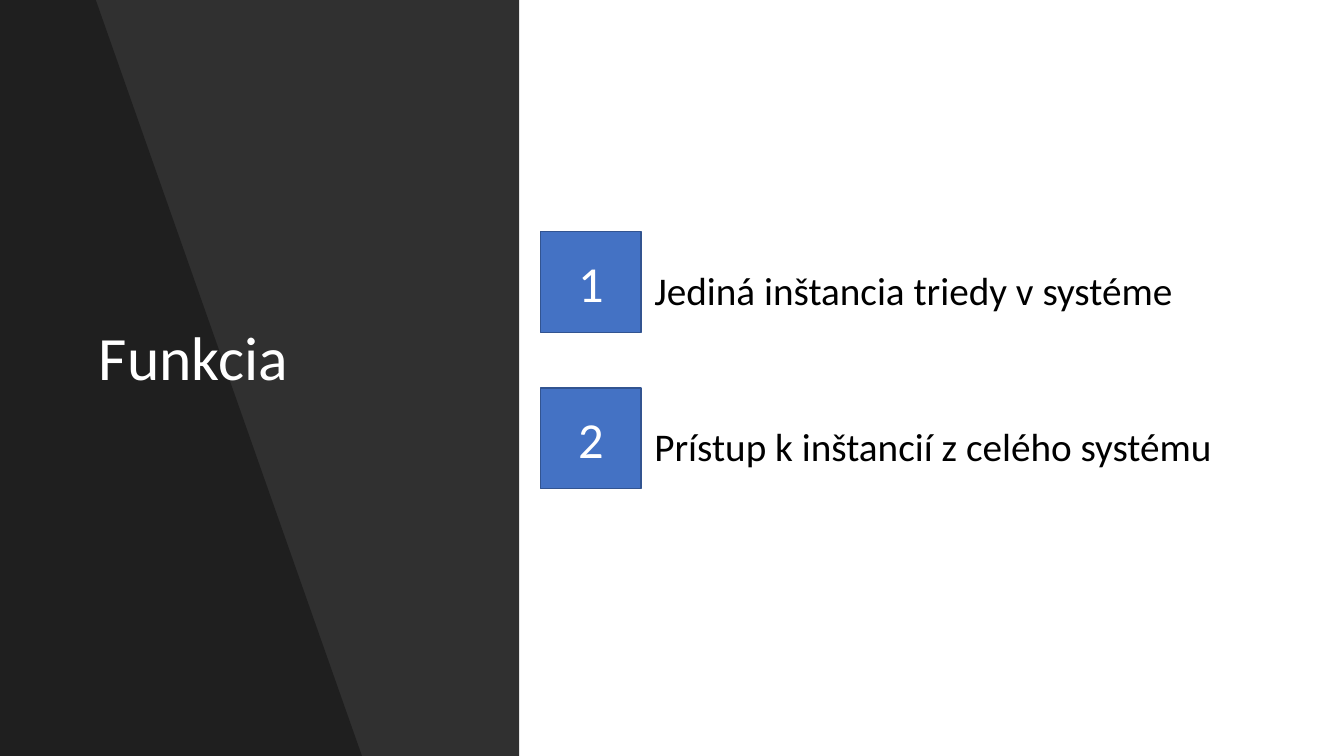
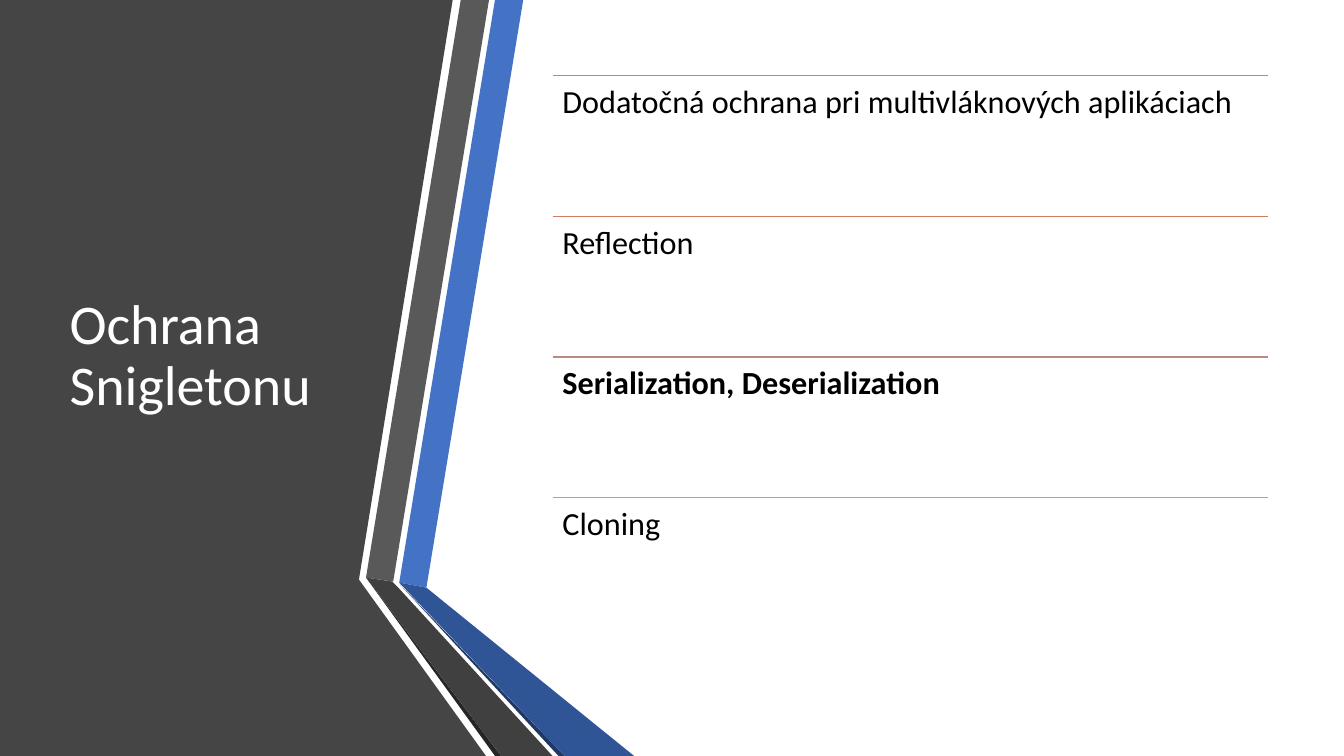
"""Build two slides on the function and the protection of the Singleton pattern."""
from lxml import etree
from pptx import Presentation
from pptx.dml.color import RGBColor
from pptx.enum.shapes import MSO_CONNECTOR, MSO_SHAPE
from pptx.enum.text import MSO_ANCHOR, MSO_AUTO_SIZE, PP_ALIGN
from pptx.oxml.ns import qn
from pptx.util import Inches, Pt

RECTANGLE = MSO_SHAPE.RECTANGLE
STRAIGHT = MSO_CONNECTOR.STRAIGHT
TOP, MIDDLE = MSO_ANCHOR.TOP, MSO_ANCHOR.MIDDLE
LEFT, CENTER = PP_ALIGN.LEFT, PP_ALIGN.CENTER
NO_FIT = MSO_AUTO_SIZE.NONE

FONT = "Calibri"
WIDTH, HEIGHT = 13.33, 7.5
TITLE_AND_BODY, TITLE_ONLY = 1, 5
COLORS = {
    "black": "000000", "white": "FFFFFF", "blue": "4472C4", "blue edge": "325491",
    "deep blue": "2F5597", "navy": "203864", "panel": "454545", "gray": "595959",
    "dark gray": "404040", "charcoal": "262626", "orange": "ED7D31",
    "copper": "D17B5C", "rose": "B98A82", "silver": "A5A5A5",
}

FUNCTION_TITLE = "Funkcia"
FUNCTIONS = ["Jediná inštancia triedy v systéme", "Prístup k inštancií z celého systému"]
FUNCTION_WEDGE = [(0, 0), (0.95, 0), (3.59, HEIGHT), (0, HEIGHT)]
BADGE_LEFT, BADGE_TOP, BADGE_SIZE, BADGE_PITCH = 5.36, 2.3, 1, 1.55

PROTECTION_TITLE = "Ochrana Snigletonu"
PROTECTIONS = [
    ("Dodatočná ochrana pri multivláknových aplikáciach", "orange", False),
    ("Reflection", "copper", False),
    ("Serialization, Deserialization", "rose", True),
    ("Cloning", "silver", False),
]
ROWS_LEFT, ROWS_TOP, ROWS_WIDTH, ROWS_HEIGHT = 5.48, 0.75, 7.1, 5.58
RIBBONS = [
    ("panel", [(0, 0), (4.49, 0), (3.56, 5.75), (4.82, HEIGHT), (0, HEIGHT)]),
    ("blue", [(3.96, 5.78), (4.23, 5.83), (5.19, 0), (4.91, 0)]),
    ("gray", [(4.85, 0), (4.57, 0), (3.63, 5.73), (3.9, 5.77)]),
    ("charcoal", [(3.63, 5.73), (4.91, HEIGHT), (4.97, HEIGHT)]),
    ("navy", [(3.96, 5.79), (5.54, HEIGHT), (5.6, HEIGHT)]),
    ("deep blue", [(3.96, 5.78), (5.6, HEIGHT), (6.29, HEIGHT), (4.23, 5.83)]),
    ("dark gray", [(5.48, HEIGHT), (3.95, 5.83), (3.89, 5.77), (3.63, 5.73), (4.97, HEIGHT)]),
]


def rgb(name):
    return RGBColor.from_string(COLORS[name])


def inches(*lengths):
    return [Inches(length) for length in lengths]


def write(shape, *lines, size, color="black", bold=False, align=LEFT, anchor=MIDDLE,
          inset=0.05, spacing=0.9, gap=0):
    frame = shape.text_frame
    frame.auto_size = NO_FIT
    frame.word_wrap = True
    frame.vertical_anchor = anchor
    frame.margin_left = frame.margin_right = Inches(0.1)
    frame.margin_top = frame.margin_bottom = Inches(inset)
    frame.text = "\n".join(lines)
    for index, paragraph in enumerate(frame.paragraphs):
        properties = paragraph._p.get_or_add_pPr()
        properties.set("marL", "0")
        properties.set("indent", "0")
        etree.SubElement(properties, qn("a:buNone"))
        paragraph.alignment = align
        paragraph.line_spacing = spacing
        paragraph.space_before = Pt(gap if index else 0)
        font = paragraph.runs[0].font
        font.name, font.size, font.bold = FONT, Pt(size), bold
        font.color.rgb = rgb(color)


def paint(shape, fill, edge=None, opacity=None):
    shape.shadow.inherit = False
    shape.fill.solid()
    shape.fill.fore_color.rgb = rgb(fill)
    if opacity:
        color = shape.element.spPr.find(qn("a:solidFill"))[0]
        etree.SubElement(color, qn("a:alpha"), val=str(opacity * 1000))
    if edge:
        shape.line.color.rgb = rgb(edge)
        shape.line.width = Pt(1)
    else:
        shape.line.fill.background()


def add_block(slide, box, fill, **finish):
    block = slide.shapes.add_shape(RECTANGLE, *inches(*box))
    paint(block, fill, **finish)
    return block


def add_outline(slide, points, fill, **finish):
    start, *others = [inches(*point) for point in points]
    builder = slide.shapes.build_freeform(*start)
    builder.add_line_segments(others, close=True)
    paint(builder.convert_to_shape(), fill, **finish)


def add_rule(slide, left, top, width, color):
    rule = slide.shapes.add_connector(STRAIGHT, *inches(left, top, left + width, top))
    rule.line.color.rgb = rgb(color)
    rule.line.width = Pt(1)
    etree.SubElement(rule.element.spPr, qn("a:effectLst"))


def fill_placeholder(placeholder, box, *lines, **style):
    """Place and write a placeholder, in front of the panels drawn so far."""
    placeholder.left, placeholder.top, placeholder.width, placeholder.height = inches(*box)
    write(placeholder, *lines, **style)
    placeholder.element.getparent().append(placeholder.element)


def add_function_slide(deck):
    slide = deck.slides.add_slide(deck.slide_layouts[TITLE_AND_BODY])
    add_block(slide, (0, 0, 5.15, HEIGHT), "black", opacity=81)
    add_outline(slide, FUNCTION_WEDGE, "black", opacity=35)
    fill_placeholder(slide.shapes.title, (0.88, 0.7, 3.59, 5.75), FUNCTION_TITLE,
                     size=44, color="white")
    fill_placeholder(slide.placeholders[1], (6.39, 0.8, 6.06, 5.75), *FUNCTIONS,
                     size=28, gap=81)
    for index in range(len(FUNCTIONS)):
        top = BADGE_TOP + index * BADGE_PITCH
        badge = add_block(slide, (BADGE_LEFT, top, BADGE_SIZE, BADGE_SIZE), "blue", edge="blue edge")
        write(badge, str(index + 1), size=36, color="white", align=CENTER, spacing=1.0)


def add_protection_slide(deck):
    slide = deck.slides.add_slide(deck.slide_layouts[TITLE_ONLY])
    for color, points in RIBBONS:
        add_outline(slide, points, color)
    fill_placeholder(slide.shapes.title, (0.59, ROWS_TOP, 3.04, ROWS_HEIGHT), PROTECTION_TITLE,
                     size=40, color="white")
    row_height = ROWS_HEIGHT / len(PROTECTIONS)
    for index, (protection, color, bold) in enumerate(PROTECTIONS):
        top = ROWS_TOP + index * row_height
        add_rule(slide, ROWS_LEFT, top, ROWS_WIDTH, color)
        row = slide.shapes.add_textbox(*inches(ROWS_LEFT, top, ROWS_WIDTH, row_height))
        write(row, protection, size=23, bold=bold, anchor=TOP, inset=0.1)


def main():
    deck = Presentation()
    deck.slide_width, deck.slide_height = inches(WIDTH, HEIGHT)
    add_function_slide(deck)
    add_protection_slide(deck)
    deck.save("out.pptx")


if __name__ == "__main__":
    main()
